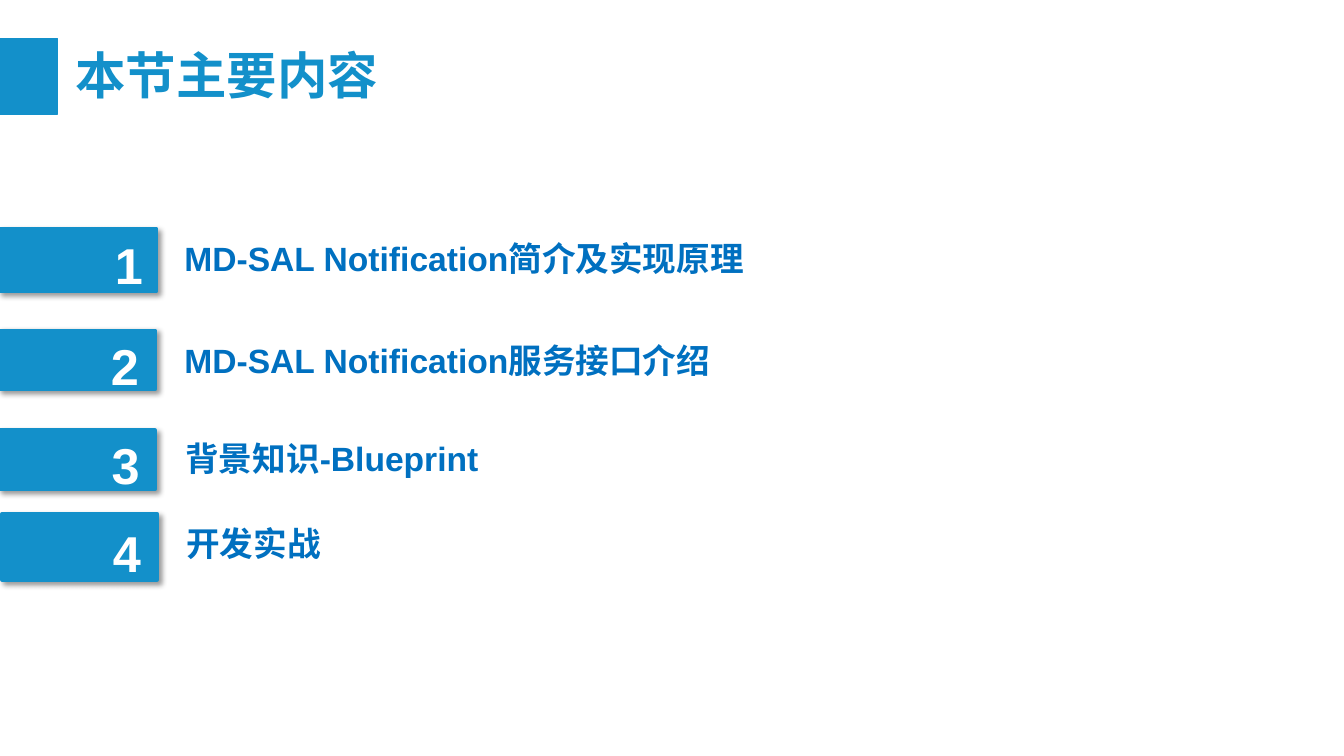
from dataclasses import dataclass

from lxml import etree
from pptx import Presentation
from pptx.dml.color import RGBColor
from pptx.enum.shapes import MSO_SHAPE
from pptx.enum.text import MSO_ANCHOR, MSO_AUTO_SIZE, PP_ALIGN
from pptx.oxml.ns import qn
from pptx.util import Inches, Pt

RECT = MSO_SHAPE.RECTANGLE
MIDDLE, TOP = MSO_ANCHOR.MIDDLE, MSO_ANCHOR.TOP
CENTER, LEFT = PP_ALIGN.CENTER, PP_ALIGN.LEFT
GROW = MSO_AUTO_SIZE.SHAPE_TO_FIT_TEXT

Box = tuple[float, float, float, float]


@dataclass(frozen=True)
class Theme:
    """Colours, font and type sizes of the slide."""
    blue: RGBColor = RGBColor(0x13, 0x90, 0xCA)
    label: RGBColor = RGBColor(0x00, 0x70, 0xC0)
    white: RGBColor = RGBColor(0xFF, 0xFF, 0xFF)
    font: str = "Arial"
    large: int = 36
    medium: int = 24


@dataclass(frozen=True)
class Topic:
    """One agenda row: its wording and the places of its three parts."""
    text: str
    bar: Box
    number: Box
    label: Box


THEME = Theme()
TOPICS = [
    Topic("MD-SAL Notification简介及实现原理", (0, 2.27, 1.55, 0.62),
          (1.04, 2.26, 0.36, 0.61), (1.73, 2.31, 6.53, 0.5)),
    Topic("MD-SAL Notification服务接口介绍", (0, 3.28, 1.54, 0.58),
          (1, 3.26, 0.35, 0.61), (1.73, 3.32, 6.53, 0.5)),
    Topic("背景知识-Blueprint", (0, 4.27, 1.54, 0.58),
          (1.01, 4.24, 0.35, 0.61), (1.74, 4.3, 6.34, 0.5)),
    Topic("开发实战", (0.02, 5.1, 1.54, 0.65),
          (1.02, 4.99, 0.35, 0.85), (1.75, 5.14, 6.34, 0.5)),
]


def add_bar(shapes, box: Box, line_width: float):
    """Draw a blue rectangle without a shadow and return it."""
    sp = shapes.add_shape(RECT, *map(Inches, box))
    sp.shadow.inherit = False
    sp.fill.solid()
    sp.fill.fore_color.rgb = THEME.blue
    sp.line.color.rgb = THEME.blue
    sp.line.width = Pt(line_width)
    return sp


def add_shadow(sp) -> None:
    """Give a shape a soft shadow towards the lower right."""
    effects = sp._element.spPr.find(qn("a:effectLst"))
    shadow = etree.SubElement(
        effects, qn("a:outerShdw"), blurRad=str(Pt(4)), dist=str(Pt(3)),
        dir=str(45 * 60000), algn="tl", rotWithShape="0")
    color = etree.SubElement(shadow, qn("a:srgbClr"), val="000000")
    etree.SubElement(color, qn("a:alpha"), val="40000")


def add_text(shapes, box: Box, text: str, size: int, color: RGBColor,
             anchor=TOP, align=LEFT):
    """Write one bold line in a text box and return its paragraph."""
    tf = shapes.add_textbox(*map(Inches, box)).text_frame
    tf.word_wrap = True
    tf.auto_size = GROW
    tf.vertical_anchor = anchor
    p = tf.paragraphs[0]
    p.alignment = align
    r = p.add_run()
    r.text = text
    r.font.name = THEME.font
    r.font.size = Pt(size)
    r.font.bold = True
    r.font.color.rgb = color
    return p


def add_title(shapes, text: str) -> None:
    """Draw the title with its marker at the left edge."""
    add_bar(shapes, (0, 0.38, 0.57, 0.75), 1)
    p = add_text(shapes, (0.65, 0.39, 3.61, 1.31), text, THEME.large, THEME.blue)
    p.space_before = p.space_after = Pt(6)


def add_topic(shapes, number: int, topic: Topic) -> None:
    """Draw one numbered agenda row as a group."""
    row = shapes.add_group_shape().shapes
    add_shadow(add_bar(row, topic.bar, 3))
    p = add_text(row, topic.number, str(number), THEME.large, THEME.white,
                 MIDDLE, CENTER)
    p.line_spacing = 1.2
    add_text(row, topic.label, topic.text, THEME.medium, THEME.label)


def main() -> None:
    """Build and save the agenda slide."""
    prs = Presentation()
    prs.slide_width, prs.slide_height = Inches(13.33), Inches(7.5)
    s = prs.slides.add_slide(prs.slide_layouts[6])
    add_title(s.shapes, "本节主要内容")
    for number, topic in enumerate(TOPICS, start=1):
        add_topic(s.shapes, number, topic)
    prs.save("out.pptx")


main()
